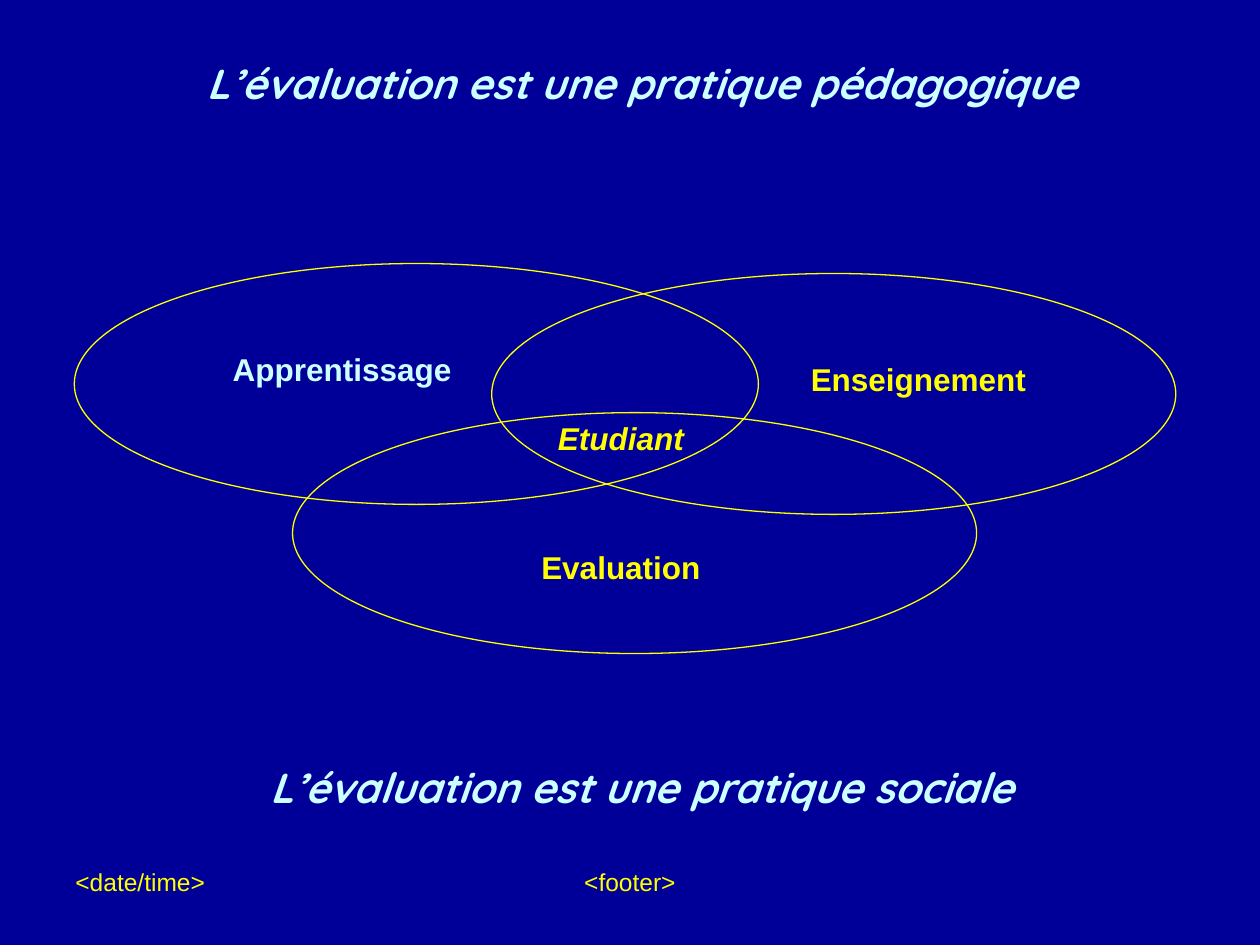
from pptx import Presentation
from pptx.dml.color import RGBColor
from pptx.enum.shapes import MSO_SHAPE
from pptx.enum.text import MSO_ANCHOR, MSO_AUTO_SIZE, PP_ALIGN
from pptx.util import Pt

COLORS = {"background": "000099", "accent": "FFFF00", "pale": "CCFFFF"}


def color(name):
    return RGBColor.from_string(COLORS[name])


def write(sp, text, size, color_name, font="Arial", bold=False, italic=False,
          align=PP_ALIGN.CENTER, anchor=MSO_ANCHOR.TOP):
    tf = sp.text_frame
    tf.word_wrap = True
    tf.auto_size = MSO_AUTO_SIZE.NONE
    tf.vertical_anchor = anchor
    tf.text = text
    p = tf.paragraphs[0]
    p.alignment = align
    f = p.runs[0].font
    f.name, f.size, f.bold, f.italic = font, Pt(size), bold, italic
    f.color.rgb = color(color_name)


def add_text(shapes, box, text, size, color_name, **style):
    sp = shapes.add_textbox(*(Pt(v) for v in box))
    write(sp, text, size, color_name, **style)


HEADLINE = dict(size=24, color_name="pale", font="Quicksand", bold=True,
                italic=True, anchor=MSO_ANCHOR.MIDDLE)


def add_title(slide, box, text):
    sp = slide.shapes.title
    sp.left, sp.top, sp.width, sp.height = (Pt(v) for v in box)
    write(sp, text, **HEADLINE)


def add_venn(slide, box):
    """Three overlapping ellipses, each with a label, and a shared centre."""
    left, top, width, height = box
    oval_w, oval_h = width * 0.62, height * 0.62
    label_w, label_h = 147.6, 28.8
    shapes = slide.shapes.add_group_shape().shapes

    # Ellipse offsets within the box
    for dx, dy in ((0, 0), (238.5, 5.7), (124.7, 85.2)):
        sp = shapes.add_shape(MSO_SHAPE.OVAL, Pt(left + dx), Pt(top + dy),
                              Pt(oval_w), Pt(oval_h))
        sp.shadow.inherit = False
        sp.fill.background()
        sp.line.color.rgb = color("accent")
        sp.line.width = Pt(0.75)

    # Label offsets within the box
    labels = (("Apprentissage", 79.2, 46, "pale", False),
              ("Enseignement", 408.5, 51.7, "accent", False),
              ("Evaluation", 238.5, 159, "accent", False),
              ("Etudiant", 238.5, 85.2, "accent", True))
    for text, dx, dy, color_name, italic in labels:
        add_text(shapes, (left + dx, top + dy, label_w, label_h), text, 18,
                 color_name, bold=True, italic=italic)


def add_footer(slide, box):
    left, top, width, height = box
    add_text(slide.shapes, (left, top, 168, height), "<date/time>", 14,
             "accent", align=PP_ALIGN.LEFT)
    add_text(slide.shapes, (left + (width - 228) / 2, top, 228, height),
             "<footer>", 14, "accent")


def main():
    prs = Presentation()
    prs.slide_width, prs.slide_height = Pt(720), Pt(540)
    slide = prs.slides.add_slide(prs.slide_layouts[5])
    slide.background.fill.solid()
    slide.background.fill.fore_color.rgb = color("background")

    add_footer(slide, (36, 492, 648, 37.5))
    add_venn(slide, (42.5, 150.6, 630.5, 222))
    add_title(slide, (42.5, 26, 648, 42),
              "L’évaluation est une pratique pédagogique")
    # Closing statement
    add_text(slide.shapes, (42.5, 428.4, 648, 42),
             "L’évaluation est une pratique sociale", **HEADLINE)
    prs.save("out.pptx")


if __name__ == "__main__":
    main()
